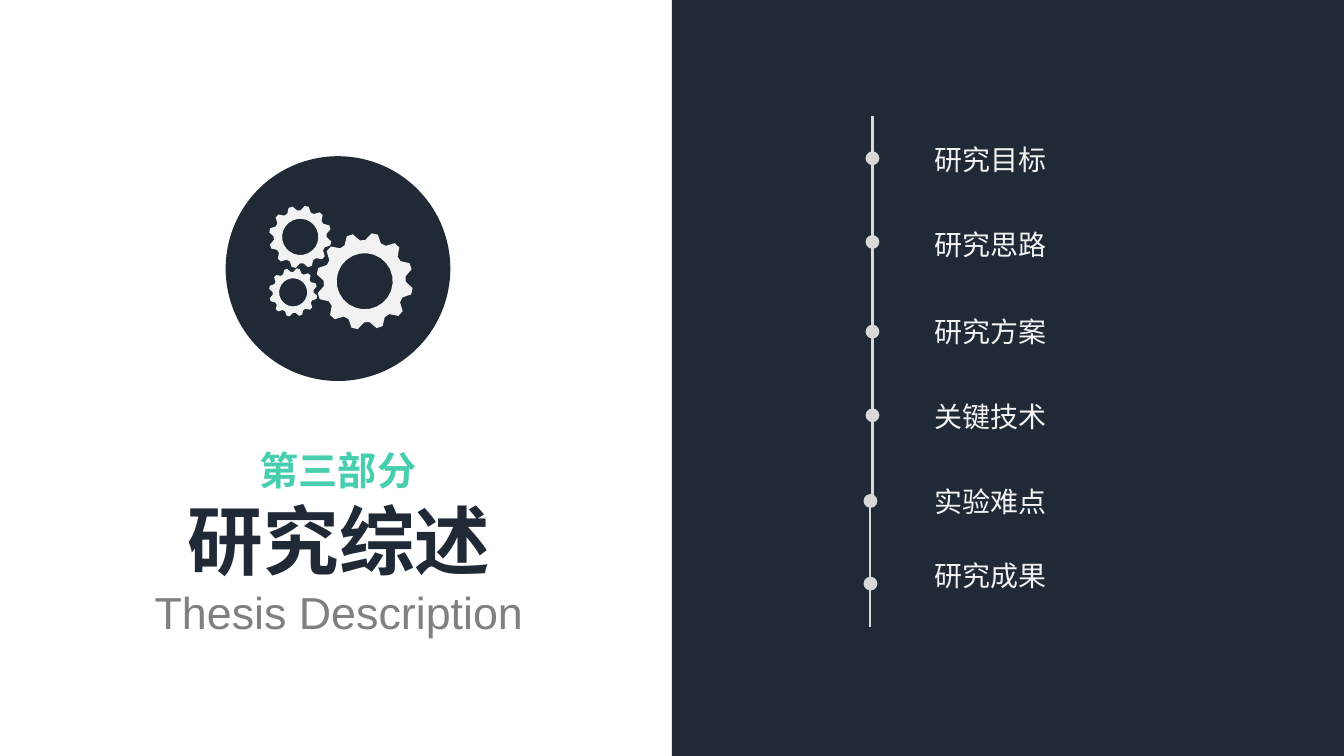
from math import cos, pi, radians, sin
from itertools import pairwise

from lxml.etree import SubElement
from pptx import Presentation
from pptx.dml.color import RGBColor
from pptx.enum.shapes import MSO_CONNECTOR, MSO_SHAPE
from pptx.enum.text import MSO_ANCHOR, MSO_AUTO_SIZE, PP_ALIGN
from pptx.oxml.ns import qn
from pptx.util import Pt

PX = 9144  # EMU in one px, 100 px to the inch
FINE = 100  # outline points in one px
CJK, LATIN = "Noto Sans CJK SC", "Arial"
COLORS = {
    "navy": "202A36",
    "green": "46CEAE",
    "grey": "808080",
    "line": "D9D9D9",
    "light": "F2F2F2",
}

# Gears: centre x, centre y, outer radius
GEARS = [(362, 279, 48), (298, 235, 31), (291, 290, 24)]
TEETH, TOOTH_TURN = 12, 12
TOOTH_RADII = (1, 1, 0.85, 0.85)  # two corners at the tip, two at the root
HOLE_RADII = (0.58,)

# Topics with the top of each label, and the timeline from bottom to top
TOPICS = [("研究目标", 136), ("研究思路", 221), ("研究方案", 307),
          ("关键技术", 391), ("实验难点", 476), ("研究成果", 549)]
TIMELINE_STOPS = [622, 579, 497, 412, 329, 240, 157, 115]
LOWER_STOP = 497


def color(name):
    return RGBColor.from_string(COLORS[name])


def box(*lengths):
    return [length * PX for length in lengths]


def fill_plain(shape, name):
    shape.fill.solid()
    shape.fill.fore_color.rgb = color(name)
    shape.line.fill.background()
    shape.shadow.inherit = False


def add_block(shapes, kind, bounds, name):
    fill_plain(shapes.add_shape(kind, *box(*bounds)), name)


def ring(center_x, center_y, radius, pattern, count):
    """Corners of a closed ring whose radii repeat by the pattern."""
    corners = []
    for index in range(count):
        angle = radians(TOOTH_TURN) + 2 * pi * (index - 0.5) / count
        reach = radius * pattern[index % len(pattern)]
        corners.append((round(FINE * (center_x + reach * cos(angle))),
                        round(FINE * (center_y + reach * sin(angle)))))
    return corners


def add_gear(shapes, *gear):
    rim = ring(*gear, TOOTH_RADII, TEETH * len(TOOTH_RADII))
    hole = ring(*gear, HOLE_RADII, TEETH * 2)
    outline = shapes.build_freeform(*rim[0], scale=PX / FINE)
    outline.add_line_segments(rim[1:], close=True)
    outline.move_to(*hole[0])
    outline.add_line_segments(hole[1:], close=True)
    fill_plain(outline.convert_to_shape(), "light")


def format_paragraph(paragraph, font, size, name, bold=False, align=PP_ALIGN.LEFT):
    paragraph.alignment = align
    for run in paragraph.runs:
        run.font.name = font
        run.font.size = Pt(size)
        run.font.bold = bold
        run.font.color.rgb = color(name)
        SubElement(run.font._element, qn("a:ea")).set("typeface", font)


def set_frame(frame, text):
    frame.text = text
    frame.word_wrap = False
    frame.auto_size = MSO_AUTO_SIZE.SHAPE_TO_FIT_TEXT
    frame.vertical_anchor = MSO_ANCHOR.TOP


def add_label(slide, bounds, text, size, name, **style):
    frame = slide.shapes.add_textbox(*box(*bounds)).text_frame
    set_frame(frame, text)
    format_paragraph(frame.paragraphs[0], CJK, size, name, **style)


def add_heading(slide, bounds, title, subtitle):
    heading = slide.shapes.title
    heading.left, heading.top, heading.width, heading.height = box(*bounds)
    set_frame(heading.text_frame, f"{title}\n{subtitle}")
    first, second = heading.text_frame.paragraphs
    format_paragraph(first, CJK, 54, "navy", bold=True, align=PP_ALIGN.CENTER)
    format_paragraph(second, LATIN, 32, "grey", align=PP_ALIGN.CENTER)


def add_timeline_step(slide, x, start, end, dotted):
    step = slide.shapes.add_connector(MSO_CONNECTOR.STRAIGHT, *box(x, start, x, end))
    step.line.color.rgb = color("line")
    step.line.width = Pt(1.5)
    if dotted:
        dot = SubElement(step.line._get_or_add_ln(), qn("a:tailEnd"))
        for key, value in (("type", "oval"), ("w", "lg"), ("len", "lg")):
            dot.set(key, value)
    SubElement(step._element.spPr, qn("a:effectLst"))


def main():
    deck = Presentation()
    deck.slide_width, deck.slide_height = box(1334, 750)
    slide = deck.slides.add_slide(deck.slide_layouts[5])

    # Section heading
    add_label(slide, (247, 438, 177, 57), "第三部分", 28, "green",
              bold=True, align=PP_ALIGN.CENTER)
    add_heading(slide, (137, 485, 399, 155), "研究综述", "Thesis Description")

    # Gear emblem
    emblem = slide.shapes.add_group_shape().shapes
    add_block(emblem, MSO_SHAPE.OVAL, (224, 155, 223, 223), "navy")
    for gear in GEARS:
        add_gear(emblem, *gear)

    # Topic panel
    add_block(slide.shapes, MSO_SHAPE.RECTANGLE, (667, 0, 667, 750), "navy")
    for topic, top in TOPICS:
        add_label(slide, (918, top, 132, 44), topic, 20, "light")

    # Timeline, with a dot at every stop but the last
    for start, end in pairwise(TIMELINE_STOPS):
        x = 864 if end >= LOWER_STOP else 866
        add_timeline_step(slide, x, start, end, end != TIMELINE_STOPS[-1])

    deck.save("out.pptx")


if __name__ == "__main__":
    main()
